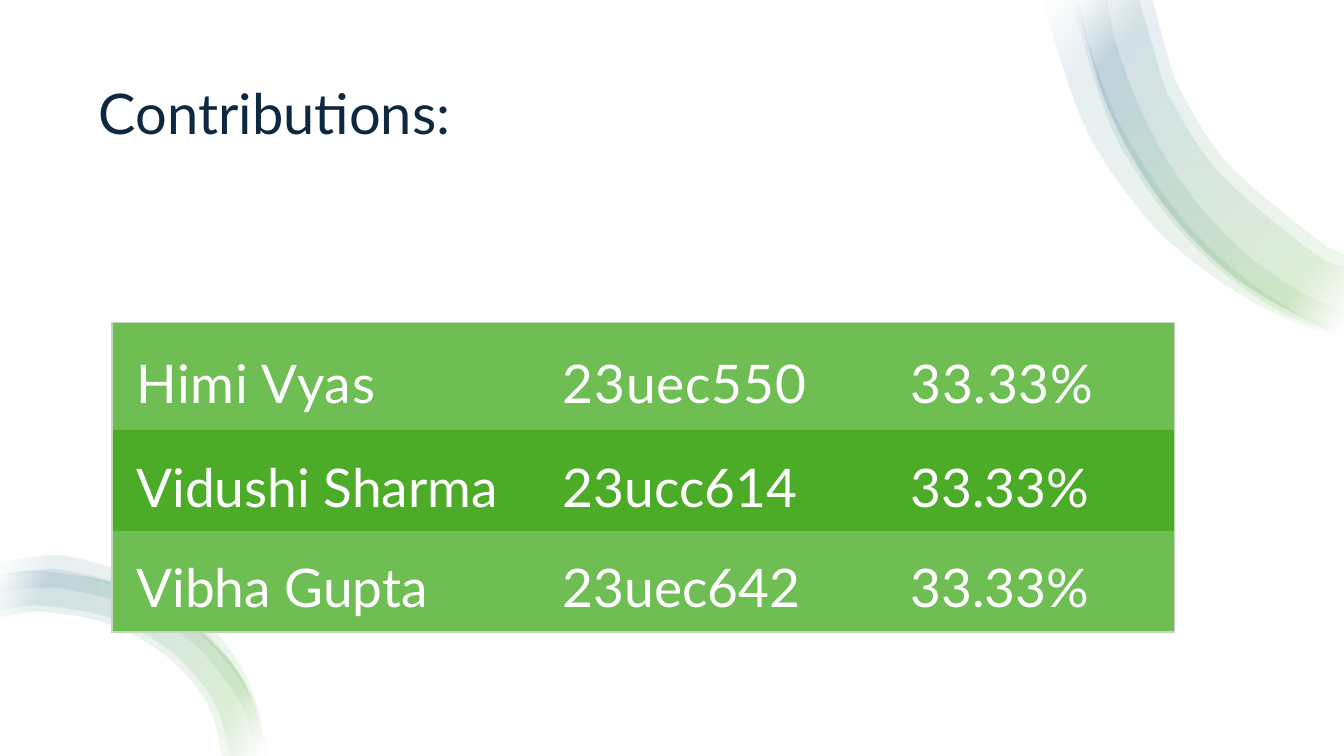
import pptx
import pptx.dml.color
import pptx.enum.shapes
import pptx.enum.text
import pptx.oxml
import pptx.oxml.ns
import pptx.util

W, H = 13.33, 7.5
FONT = "Lato"
COLORS = {"paper": "FFFFFF", "title": "0E2841", "green": "4EA72E", "blue": "156082",
          "row_light": "6FBE54", "row_dark": "4CAC28", "border": "C2D9BE"}

# Each band lies between an outer and an inner edge, given in inches
CORNER_EDGE = [(10.68, 0), (10.99, 1.07), (11.52, 2), (12.23, 2.74), (13.09, 3.24), (W, 3.32)]
CORNER_BANDS = [
    ([(10.37, 0), (10.41, 0.26), (10.78, 1.31), (11.28, 2.06), (11.65, 2.45), (12.21, 2.87),
      (12.82, 3.19), (W, 3.35)],
     [(10.69, 0), (10.82, 0.52), (11.06, 1.15), (11.4, 1.73), (11.81, 2.27), (12.3, 2.73),
      (12.86, 3.1), (W, 3.28)]),
    (CORNER_EDGE,
     [(11.43, 0), (11.58, 0.55), (11.73, 0.94), (12.19, 1.64), (13.07, 2.38), (W, 2.51)]),
    ([(10.65, 0), (10.68, 0.2), (10.99, 1.19), (11.32, 1.79), (11.73, 2.33), (12.23, 2.79),
      (12.79, 3.14), (W, 3.33)],
     [(10.98, 0), (11.07, 0.44), (11.29, 1.04), (11.58, 1.6), (11.95, 2.11), (12.39, 2.55),
      (12.9, 2.9), (W, 3.08)]),
    (CORNER_EDGE,
     [(11.3, 0), (11.47, 0.59), (11.62, 1), (12.1, 1.72), (13.01, 2.5), (W, 2.64)]),
]
FOOT_EDGE = [(2.63, H), (2.62, 7.35), (2.37, 6.69), (1.85, 6.16), (1.17, 5.8), (0.4, 5.67), (0, 5.72)]
FOOT_BANDS = [
    (FOOT_EDGE,
     [(2.2, H), (2.06, 7), (1.66, 6.52), (1.07, 6.19), (0.4, 6.07), (0, 6.13)]),
    (FOOT_EDGE,
     [(2.28, H), (2.12, 6.97), (1.7, 6.47), (1.09, 6.13), (0.4, 6.01), (0, 6.06)]),
    ([(2.63, H), (2.59, 7.19), (2.47, 6.85), (2.03, 6.27), (1.42, 5.87), (0.69, 5.67),
      (0.31, 5.66), (0, 5.71)],
     [(2.51, H), (2.47, 7.21), (2.34, 6.91), (1.92, 6.39), (1.34, 6.03), (0.67, 5.85),
      (0.33, 5.84), (0, 5.88)]),
    ([(2.64, H), (2.5, 6.87), (2.33, 6.53), (2.1, 6.23), (1.81, 5.97), (1.48, 5.75),
      (0.71, 5.53), (0.31, 5.53), (0, 5.59)],
     [(2.62, H), (2.58, 7.22), (2.45, 6.89), (2.25, 6.58), (2, 6.31), (1.71, 6.09),
      (1.22, 5.84), (0.69, 5.7), (0.32, 5.68), (0, 5.72)]),
]
BAND_STOPS = [(2, "paper"), (16, "green"), (85, "blue"), (100, "paper")]

CONTRIBUTIONS = [("Himi Vyas", "23uec550", "33.33%"),
                 ("Vidushi Sharma", "23ucc614", "33.33%"),
                 ("Vibha Gupta", "23uec642", "33.33%")]
COLUMN_WIDTHS = [4.23, 3.45, 2.86]
ROW_HEIGHTS = [1.07, 1, 1]


def rgb(name):
    return pptx.dml.color.RGBColor.from_string(COLORS[name])


def add_run(p, text, size, color):
    r = p.add_run()
    r.text = text
    r.font.name, r.font.size = FONT, pptx.util.Pt(size)
    r.font.color.rgb = rgb(color)
    return r


def add_backdrop(s):
    sp = s.shapes.add_shape(pptx.enum.shapes.MSO_SHAPE.RECTANGLE, 0, 0,
                            pptx.util.Inches(W), pptx.util.Inches(H))
    sp.shadow.inherit = False
    sp.fill.solid()
    sp.fill.fore_color.rgb = rgb("paper")
    sp.line.fill.background()
    # The title stands in front of the backdrop
    sp.element.addnext(s.shapes.title.element)


def round_edges(sp, corners):
    """Turn the straight segments into curves, except those that start at a corner."""
    qn = pptx.oxml.ns.qn
    geometry = sp.element.spPr.find(qn("a:custGeom"))
    points = [(int(pt.get("x")), int(pt.get("y"))) for pt in geometry.iter(qn("a:pt"))]
    for i, segment in enumerate(list(geometry.iter(qn("a:lnTo")))):
        if i in corners:
            continue
        a, b, c, d = (points[k] for k in (
            i if i - 1 in corners or i == 0 else i - 1, i, i + 1,
            i + 1 if i + 1 in corners or i + 2 == len(points) else i + 2))
        controls = [[q + (r - p) / 6 for p, q, r in zip(a, b, c)],
                    [r - (u - q) / 6 for q, r, u in zip(b, c, d)], c]
        pts = "".join(f'<a:pt x="{round(x)}" y="{round(y)}"/>' for x, y in controls)
        segment.getparent().replace(segment, pptx.oxml.parse_xml(
            f'<a:cubicBezTo {pptx.oxml.ns.nsdecls("a")}>{pts}</a:cubicBezTo>'))
    return geometry


def add_band(s, outer, inner, angle):
    outline = [(pptx.util.Inches(x), pptx.util.Inches(y)) for x, y in outer + inner[::-1]]
    builder = s.shapes.build_freeform(*outline[0])
    builder.add_line_segments(outline[1:], close=True)
    sp = builder.convert_to_shape()
    sp.shadow.inherit = False
    sp.line.fill.background()
    geometry = round_edges(sp, [len(outer) - 1])
    # Translucent gradient, placed right after the geometry
    stops = "".join(
        f'<a:gs pos="{pos * 1000}"><a:srgbClr val="{COLORS[color]}">'
        '<a:alpha val="10000"/></a:srgbClr></a:gs>' for pos, color in BAND_STOPS)
    geometry.addnext(pptx.oxml.parse_xml(
        f'<a:gradFill {pptx.oxml.ns.nsdecls("a")} rotWithShape="1"><a:gsLst>{stops}</a:gsLst>'
        f'<a:lin ang="{angle * 60000}" scaled="0"/></a:gradFill>'))


def add_title(s, text):
    title = s.shapes.title
    title.left, title.top, title.width, title.height = map(
        pptx.util.Inches, (W * 0.066, H / 15, W * 0.868, 1.3))
    tf = title.text_frame
    tf.auto_size = pptx.enum.text.MSO_AUTO_SIZE.NONE
    tf.vertical_anchor = pptx.enum.text.MSO_ANCHOR.MIDDLE
    p = tf.paragraphs[0]
    p.alignment = pptx.enum.text.PP_ALIGN.LEFT
    p.line_spacing = 0.9
    add_run(p, text, 40, "title")


def set_borders(cell, visible):
    for side in "LRTB":
        paint = (f'<a:solidFill><a:srgbClr val="{COLORS["border"]}"/></a:solidFill>'
                 if side in visible else "<a:noFill/>")
        cell._tc.get_or_add_tcPr().append(pptx.oxml.parse_xml(
            f'<a:ln{side} {pptx.oxml.ns.nsdecls("a")} w="12700">{paint}</a:ln{side}>'))


def add_contributions(s, rows):
    frame = s.shapes.add_table(
        len(rows), len(COLUMN_WIDTHS), *map(pptx.util.Inches, (
            W / 12, 3.2, sum(COLUMN_WIDTHS), sum(ROW_HEIGHTS))))
    table = frame.table
    table.first_row = table.horz_banding = False
    for column, width in zip(table.columns, COLUMN_WIDTHS):
        column.width = pptx.util.Inches(width)
    for i, values in enumerate(rows):
        table.rows[i].height = pptx.util.Inches(ROW_HEIGHTS[i])
        for j, value in enumerate(values):
            cell = table.cell(i, j)
            edges = {"T": i == 0, "B": i == len(rows) - 1,
                     "L": j == 0, "R": j == len(values) - 1}
            set_borders(cell, [side for side, outside in edges.items() if outside])
            cell.fill.solid()
            cell.fill.fore_color.rgb = rgb("row_dark" if i % 2 else "row_light")
            cell.margin_left = cell.margin_right = cell.margin_top = pptx.util.Inches(0.24)
            cell.margin_bottom = pptx.util.Inches(0.12)
            anchors = pptx.enum.text.MSO_ANCHOR
            cell.vertical_anchor = anchors.TOP if i else anchors.MIDDLE
            r = add_run(cell.text_frame.paragraphs[0], value, 38, "paper")
            if i == 0:
                r.font._element.set("spc", "60")


def main():
    prs = pptx.Presentation()
    prs.slide_width, prs.slide_height = pptx.util.Inches(W), pptx.util.Inches(H)
    s = prs.slides.add_slide(prs.slide_layouts[5])
    add_backdrop(s)
    add_title(s, "Contributions:")
    # Swooshes in the top right and bottom left corners
    for bands, angle in ((CORNER_BANDS, 220), (FOOT_BANDS, 205)):
        for outer, inner in bands:
            add_band(s, outer, inner, angle)
    add_contributions(s, CONTRIBUTIONS)
    prs.save("out.pptx")


if __name__ == "__main__":
    main()
